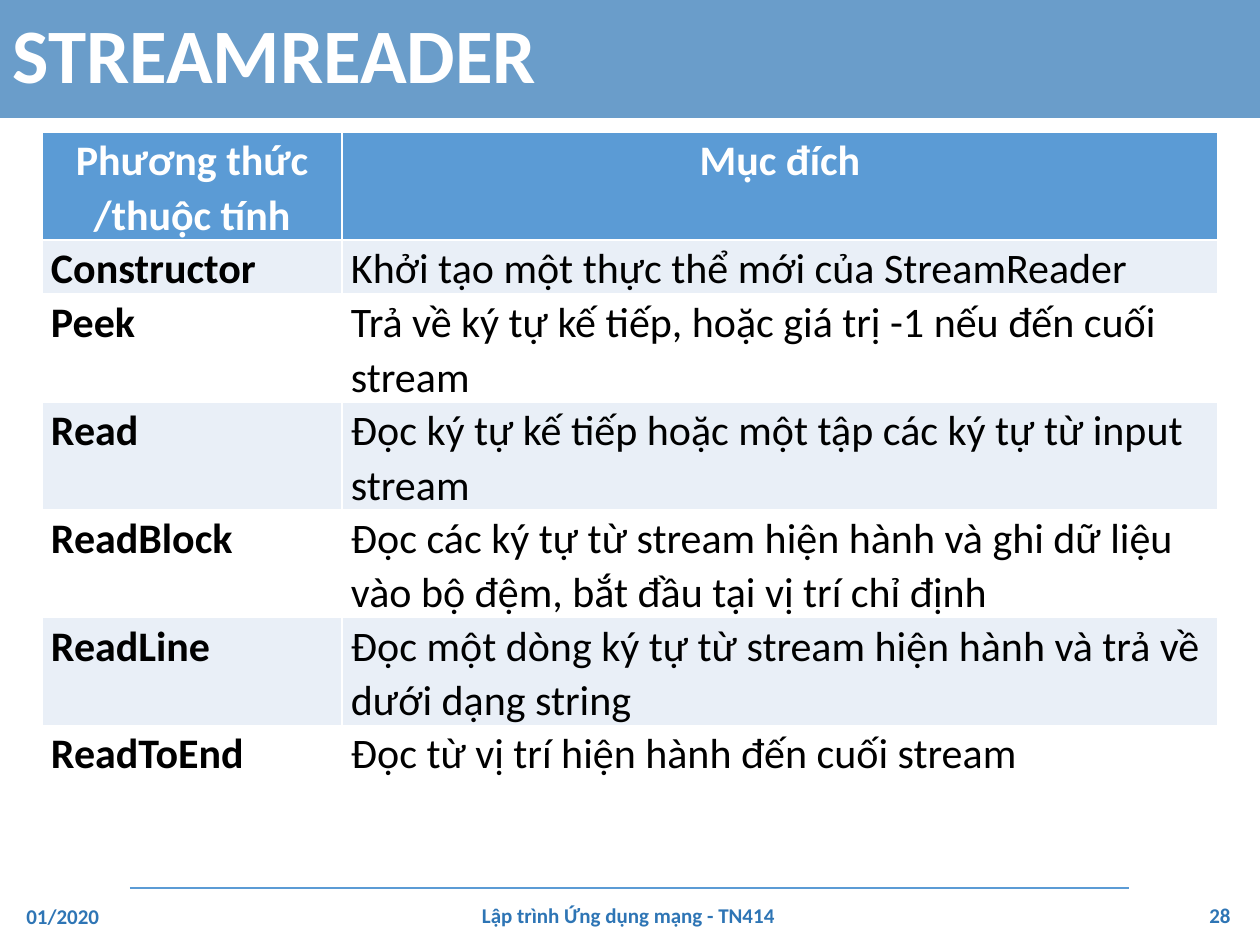
from dataclasses import dataclass

from lxml.etree import SubElement
from pptx import Presentation
from pptx.dml.color import RGBColor
from pptx.enum.shapes import MSO_CONNECTOR
from pptx.enum.text import MSO_ANCHOR, MSO_AUTO_SIZE, PP_ALIGN
from pptx.oxml.ns import qn
from pptx.util import Emu, Pt


@dataclass(frozen=True)
class Theme:
    font: str = "Calibri"
    title_size: int = 44
    table_size: int = 24
    footer_size: int = 12
    title_fill: str = "2E75B5"
    title_opacity: int = 71
    accent: str = "5B9BD5"
    band: str = "E9EFF7"
    white: str = "FFFFFF"
    black: str = "000000"
    footer: str = "2E75B5"


HEADER = ("Phương thức\n/thuộc tính", "Mục đích")
MEMBERS = [
    ("Constructor", "Khởi tạo một thực thể mới của StreamReader"),
    ("Peek", "Trả về ký tự kế tiếp, hoặc giá trị -1 nếu đến cuối stream"),
    ("Read", "Đọc ký tự kế tiếp hoặc một tập các ký tự từ input stream"),
    ("ReadBlock", "Đọc các ký tự từ stream hiện hành và ghi dữ liệu vào bộ đệm, "
                  "bắt đầu tại vị trí chỉ định"),
    ("ReadLine", "Đọc một dòng ký tự từ stream hiện hành và trả về dưới dạng string"),
    ("ReadToEnd", "Đọc từ vị trí hiện hành đến cuối stream"),
]


def px(length):
    return Emu(round(length * 914400 / 126))


class SlideBuilder:
    def __init__(self, slide, theme):
        self.slide = slide
        self.theme = theme

    def set_text(self, frame, text, size, color, bold=True, align=PP_ALIGN.LEFT, spacing=1.0):
        frame.text = text
        for paragraph in frame.paragraphs:
            paragraph.alignment = align
            paragraph.line_spacing = spacing
            paragraph.space_before = Pt(0)
            paragraph.font.name = self.theme.font
            paragraph.font.size = Pt(size)
            paragraph.font.bold = bold
            paragraph.font.color.rgb = RGBColor.from_string(color)

    def title(self, text, left, top, width, height):
        shape = self.slide.shapes.title
        shape.left, shape.top, shape.width, shape.height = map(px, (left, top, width, height))
        shape.fill.solid()
        shape.fill.fore_color.rgb = RGBColor.from_string(self.theme.title_fill)
        color = shape._element.spPr.find(f".//{qn('a:srgbClr')}")
        SubElement(color, qn("a:alpha"), val=str(self.theme.title_opacity * 1000))
        frame = shape.text_frame
        frame.auto_size = MSO_AUTO_SIZE.NONE
        frame.vertical_anchor = MSO_ANCHOR.MIDDLE
        self.set_text(frame, text, self.theme.title_size, self.theme.white, spacing=0.9)

    def line(self, left, top, right):
        connector = self.slide.shapes.add_connector(
            MSO_CONNECTOR.STRAIGHT, px(left), px(top), px(right), px(top))
        connector.line.color.rgb = RGBColor.from_string(self.theme.accent)
        connector.line.width = Pt(0.75)
        SubElement(connector._element.spPr, qn("a:effectLst"))

    def footer(self, text, left, top, width, height, align):
        frame = self.slide.shapes.add_textbox(
            px(left), px(top), px(width), px(height)).text_frame
        frame.word_wrap = True
        frame.vertical_anchor = MSO_ANCHOR.MIDDLE
        self.set_text(frame, text, self.theme.footer_size, self.theme.footer, align=align)

    def table(self, rows, left, top, widths, row_height):
        table = self.slide.shapes.add_table(
            len(rows), len(widths), px(left), px(top),
            px(sum(widths)), px(row_height * len(rows))).table
        for column, width in zip(table.columns, widths):
            column.width = px(width)
        for row_index, texts in enumerate(rows):
            table.rows[row_index].height = px(row_height)
            for column_index, text in enumerate(texts):
                self.cell(table.cell(row_index, column_index), text,
                          row_index, column_index)

    def cell(self, cell, text, row_index, column_index):
        theme = self.theme
        header = row_index == 0
        body_fill = theme.band if row_index % 2 else theme.white
        cell.fill.solid()
        cell.fill.fore_color.rgb = RGBColor.from_string(theme.accent if header else body_fill)
        cell.margin_left = cell.margin_right = px(9)
        cell.margin_top = cell.margin_bottom = 0
        self.set_text(cell.text_frame, text, theme.table_size,
                      theme.white if header else theme.black,
                      bold=header or column_index == 0,
                      align=PP_ALIGN.CENTER if header else PP_ALIGN.LEFT,
                      spacing=1.07)


def main():
    presentation = Presentation()
    presentation.slide_width = px(1260)
    presentation.slide_height = px(945)
    slide = presentation.slides.add_slide(presentation.slide_layouts.get_by_name("Title Only"))
    builder = SlideBuilder(slide, Theme())
    builder.line(130, 888, 1129)
    builder.title("STREAMREADER", 0, 0, 1260, 118)
    builder.footer("01/2020", 14, 891, 113, 50, PP_ALIGN.LEFT)
    builder.footer("Lập trình Ứng dụng mạng - TN414", 131, 890, 995, 50, PP_ALIGN.CENTER)
    builder.footer("28", 1130, 890, 113, 50, PP_ALIGN.RIGHT)
    builder.table([HEADER, *MEMBERS], 42, 132, (300, 876), 41)
    presentation.save("out.pptx")


if __name__ == "__main__":
    main()
